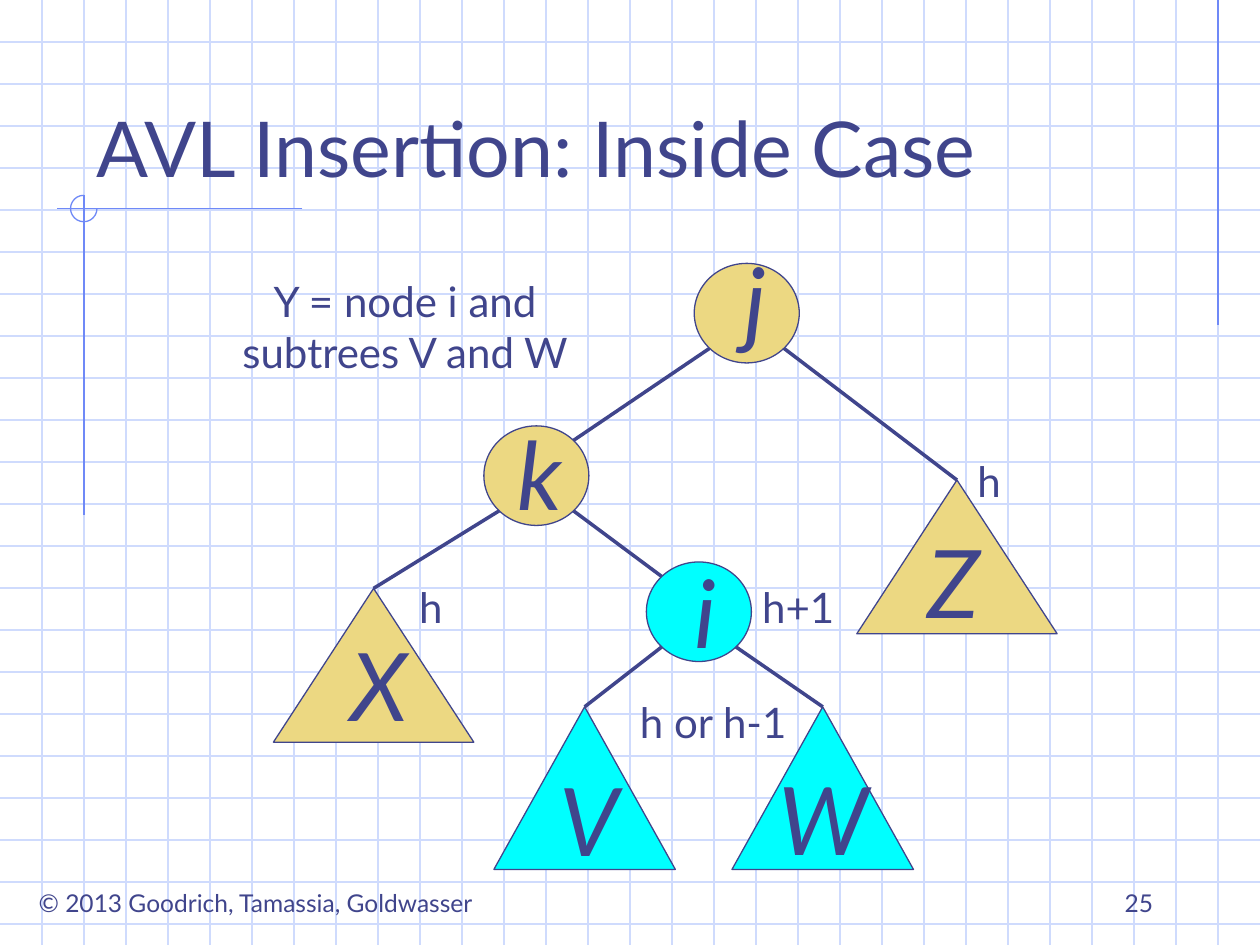
from dataclasses import dataclass

from lxml import etree
from pptx import Presentation
from pptx.dml.color import RGBColor
from pptx.enum import shapes, text
from pptx.oxml import ns
from pptx import util as u

SQUARE = u.Inches(1) / 3
COLUMNS, ROWS = 30, 22.5


@dataclass(frozen=True)
class Theme:
    """Colours, font and sizes in points."""
    font: str = "Lato"
    ink: str = "40458C"
    grid: str = "CFDBFD"
    accent: str = "6F89F7"
    sand: str = "ECD882"
    cyan: str = "00FFFF"
    title: int = 44
    letter: int = 54
    label: int = 24
    footer: int = 14
    thin: float = 0.75
    edge: float = 2


@dataclass(frozen=True)
class Box:
    """A rectangle measured in grid squares."""
    left: float
    top: float
    width: float
    height: float

    def inner(self, left, top, width, height):
        """Return a box placed relative to this one."""
        return Box(self.left + left, self.top + top, width, height)

    def point(self, across, down):
        """Return the point at the given shares of width and height."""
        return self.left + across * self.width, self.top + down * self.height

    def emu(self):
        """Return the four lengths for python-pptx."""
        return [round(side * SQUARE)
                for side in (self.left, self.top, self.width, self.height)]


THEME = Theme()
DIAGONAL = 0.146
ALIGN = text.PP_ALIGN
ANCHOR = text.MSO_ANCHOR
OUTLINE = shapes.MSO_SHAPE


def write(slide, words, box, size=THEME.label, align=ALIGN.CENTER,
          anchor=ANCHOR.TOP, italic=False, wrap=False):
    """Write one paragraph per line of words."""
    frame = slide.shapes.add_textbox(*box.emu()).text_frame
    frame.word_wrap = wrap
    frame.vertical_anchor = anchor
    frame.text = words
    for paragraph in frame.paragraphs:
        paragraph.alignment = align
        font = paragraph.font
        font.name, font.size, font.italic = THEME.font, u.Pt(size), italic
        font.color.rgb = RGBColor.from_string(THEME.ink)


def pen(line, colour, width=THEME.thin):
    """Set the colour and width of a line."""
    line.color.rgb = RGBColor.from_string(colour)
    line.width = u.Pt(width)


def rule(slide, start, end, colour, width=THEME.thin):
    """Draw a straight line between two points in grid squares."""
    ends = [round(length * SQUARE) for length in (*start, *end)]
    line = slide.shapes.add_connector(shapes.MSO_CONNECTOR.STRAIGHT, *ends)
    pen(line.line, colour, width)
    etree.SubElement(line._element.spPr, ns.qn("a:effectLst"))


def draw(slide, outline, box, line, fill=None):
    """Draw a preset shape, hollow unless a fill is given."""
    shape = slide.shapes.add_shape(outline, *box.emu())
    shape.shadow.inherit = False
    pen(shape.line, line)
    if fill:
        shape.fill.solid()
        shape.fill.fore_color.rgb = RGBColor.from_string(fill)
    else:
        shape.fill.background()
    return shape


def graph_paper(slide, page):
    """Rule the page into squares."""
    for row in range(1, int(page.height) + 1):
        rule(slide, (page.left, row), (page.left + page.width, row), THEME.grid)
    for column in range(1, int(page.width)):
        rule(slide, (column, page.top), (column, page.top + page.height), THEME.grid)


def ornaments(slide, page):
    """Draw the accent lines and the open circle under the title."""
    for start, end in (((29, 0), (29, 7.74)),
                       ((7.2, 4.97), (1.35, 4.97)),
                       ((2, 4.65), (2, 12.27))):
        rule(slide, page.inner(*start, 0, 0).point(0, 0),
             page.inner(*end, 0, 0).point(0, 0), THEME.accent)
    circle = draw(slide, OUTLINE.ARC, page.inner(1.68, 4.65, 0.63, 0.63), THEME.accent)
    circle.adjustments[0] = 0
    circle.adjustments[1] = 270 * 0.6


def heading(slide, box):
    """Write the title on the bottom of its box."""
    write(slide, "AVL Insertion: Inside Case", box, THEME.title,
          ALIGN.LEFT, ANCHOR.BOTTOM, wrap=True)


def footer(slide, box):
    """Write the copyright line and the page number."""
    write(slide, "© 2013 Goodrich, Tamassia, Goldwasser",
          box.inner(0, 0.5, 11.64, 1.02), THEME.footer)
    write(slide, "25", box.inner(21.24, 0, 6.24, 1.5), THEME.footer,
          ALIGN.RIGHT, ANCHOR.BOTTOM, wrap=True)


def tree(slide, box):
    """Draw nodes, subtrees and edges, with a letter on each node."""
    node = (OUTLINE.OVAL, 2.5, 2.37)
    deep = (OUTLINE.ISOSCELES_TRIANGLE, 4.77, 3.66)
    narrow = (OUTLINE.ISOSCELES_TRIANGLE, 4.32, 3.87)
    parts = {
        "j": (node, 10.53, 0.27, THEME.sand, 0.69, -0.66),
        "k": (node, 5.52, 4.14, THEME.sand, 0.51, -0.39),
        "X": (deep, 0.51, 8.01, THEME.sand, 1.53, 0.78),
        "V": (narrow, 5.76, 10.83, THEME.cyan, 1.26, 1.17),
        "Z": (deep, 14.4, 5.43, THEME.sand, 1.38, 0.9),
        "W": (narrow, 11.43, 10.83, THEME.cyan, 0.81, 1.14),
        "i": (node, 9.39, 7.38, THEME.cyan, 0.63, -0.33),
    }
    places = {}
    for letter, ((outline, width, height), left, top, fill, dx, dy) in parts.items():
        place = places[letter] = box.inner(left, top, width, height)
        draw(slide, outline, place, THEME.ink, fill)
        write(slide, letter, place.inner(dx, dy, 1.53, 3), THEME.letter,
              italic=True, wrap=True)
    for parent, children in (("j", "kZ"), ("k", "Xi"), ("i", "VW")):
        for child, side in zip(children, (DIAGONAL, 1 - DIAGONAL)):
            top = (1 - side, DIAGONAL) if child in "ki" else (0.5, 0)
            rule(slide, places[parent].point(side, 1 - DIAGONAL),
                 places[child].point(*top), THEME.ink, THEME.edge)


def labels(slide, box):
    """Write the explanation and the subtree heights."""
    for words, *place in (("Y = node i and\nsubtrees V and W", -0.75, 0.42, 8.79, 2.7),
                          ("h", 16.98, 4.71, 1.08, 1.5),
                          ("h+1", 11.82, 7.71, 2.37, 1.5),
                          ("h", 3.66, 7.71, 1.2, 1.5),
                          ("h or h-1", 8.85, 10.44, 4.26, 1.5)):
        write(slide, words, box.inner(*place))


def main():
    """Build the slide and save it."""
    deck = Presentation()
    deck.slide_width, deck.slide_height = round(COLUMNS * SQUARE), round(ROWS * SQUARE)
    slide = deck.slides.add_slide(deck.slide_layouts[6])
    page = Box(0, 0, COLUMNS, ROWS)
    diagram = page.inner(6, 6, 20, 15)
    graph_paper(slide, page)
    ornaments(slide, page)
    heading(slide, page.inner(2, 1, 25.5, 3.75))
    footer(slide, page.inner(0.27, 20.5, 27.5, 1.5))
    tree(slide, diagram)
    labels(slide, diagram)
    deck.save("out.pptx")


if __name__ == "__main__":
    main()
